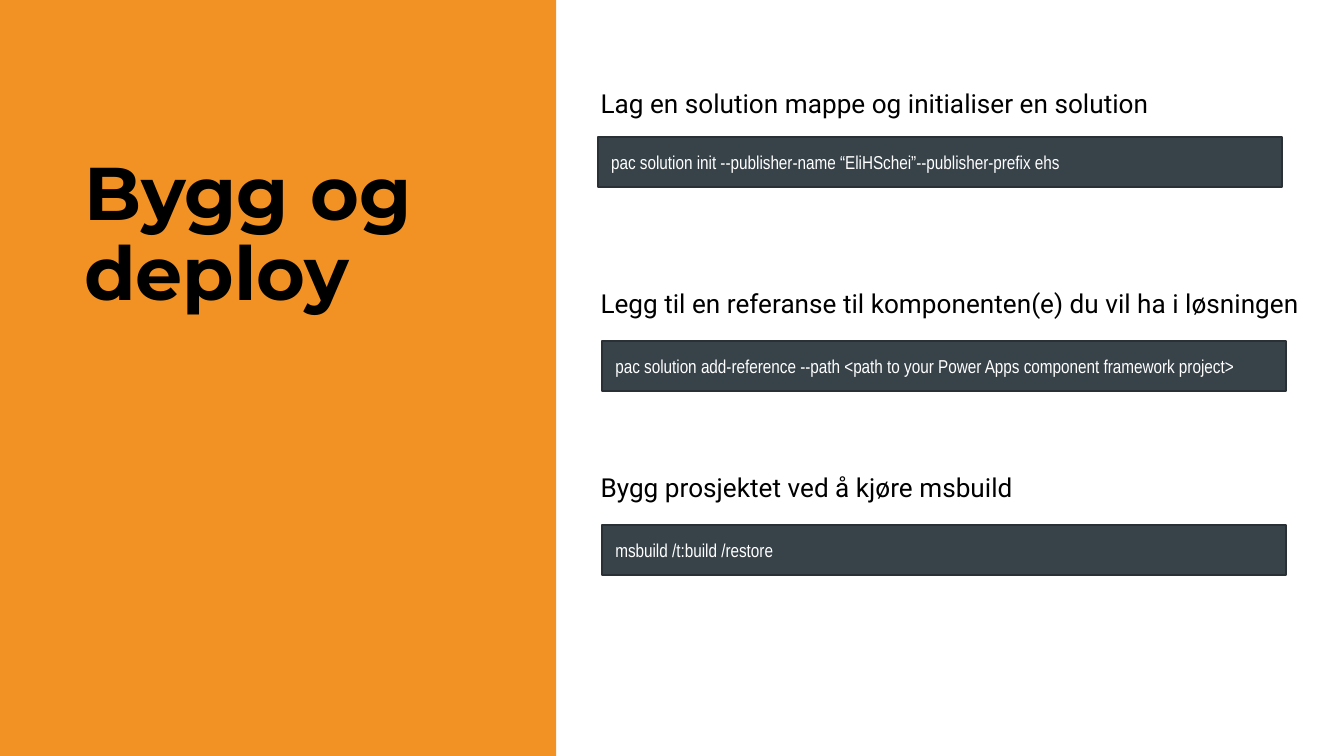
from pptx import Presentation
from pptx import util as u
from pptx.dml.color import RGBColor
from pptx.enum import shapes, text

COLOURS = {
    "panel": "F39224",
    "bar": "374249",
    "bar_line": "293136",
    "dark": "000000",
    "light": "FFFFFF",
}
SLIDE_WIDTH, SLIDE_HEIGHT = 25.4, 14.29
LABEL_LEFT = 11.1

# label, label top, label width, command, bar left, bar top
STEPS = [
    ("Lag en solution mappe og initialiser en solution", 1.52, 11.05,
     "pac solution init --publisher-name “EliHSchei”--publisher-prefix ehs",
     11.3, 2.59),
    ("Legg til en referanse til komponenten(e) du vil ha i løsningen", 5.31, 13.97,
     "pac solution add-reference --path <path to your Power Apps component framework project>",
     11.38, 6.45),
    ("Bygg prosjektet ved å kjøre msbuild", 8.79, 8.46,
     "msbuild /t:build /restore",
     11.38, 9.93),
]


def colour(name):
    return RGBColor.from_string(COLOURS[name])


def box(left, top, width, height):
    return [u.Cm(value) for value in (left, top, width, height)]


def write(shape, content, *, font, size, color, bold=False, line_spacing=None,
          anchor=text.MSO_ANCHOR.TOP, wrap=True, auto_size=text.MSO_AUTO_SIZE.NONE):
    frame = shape.text_frame
    frame.text = content
    frame.word_wrap = wrap
    frame.auto_size = auto_size
    frame.vertical_anchor = anchor
    paragraph = frame.paragraphs[0]
    paragraph.alignment = text.PP_ALIGN.LEFT
    if line_spacing:
        paragraph.line_spacing = line_spacing
    run_font = paragraph.runs[0].font
    run_font.name = font
    run_font.size = u.Pt(size)
    run_font.bold = bold
    run_font.color.rgb = colour(color)


def add_rectangle(slide, place, fill, line=None):
    shape = slide.shapes.add_shape(shapes.MSO_SHAPE.RECTANGLE, *box(*place))
    shape.shadow.inherit = False
    shape.fill.solid()
    shape.fill.fore_color.rgb = colour(fill)
    if line:
        shape.line.color.rgb = colour(line)
        shape.line.width = u.Pt(1)
    else:
        shape.line.fill.background()
    return shape


def add_title(slide, content):
    title = slide.shapes.title
    title.left, title.top, title.width, title.height = box(1.4, 2.84, 8.2, 2.74)
    frame = title.text_frame
    frame.margin_left = frame.margin_right = u.Cm(0.19)
    frame.margin_top = frame.margin_bottom = u.Cm(0.1)
    write(title, content, font="Montserrat", size=40, color="dark", bold=True,
          line_spacing=0.9)


def add_panel(slide):
    """Add the coloured side panel behind the title."""
    panel = add_rectangle(slide, (0, 0, 10.51, SLIDE_HEIGHT), "panel")
    slide.shapes.title.element.addprevious(panel.element)


def add_step(slide, label, label_top, label_width, command, bar_left, bar_top):
    """Add a command bar with its label above."""
    bar = add_rectangle(slide, (bar_left, bar_top, 12.93, 0.94), "bar", "bar_line")
    write(bar, command, font="Arial Narrow", size=10, color="light",
          anchor=text.MSO_ANCHOR.MIDDLE)
    label_box = slide.shapes.add_textbox(*box(LABEL_LEFT, label_top, label_width, 0.86))
    write(label_box, label, font="Roboto", size=14, color="dark", wrap=False,
          auto_size=text.MSO_AUTO_SIZE.SHAPE_TO_FIT_TEXT)


def main():
    presentation = Presentation()
    presentation.slide_width = u.Cm(SLIDE_WIDTH)
    presentation.slide_height = u.Cm(SLIDE_HEIGHT)
    slide = presentation.slides.add_slide(presentation.slide_layouts[5])
    add_title(slide, "Bygg og deploy")
    add_panel(slide)
    for step in STEPS:
        add_step(slide, *step)
    presentation.save("out.pptx")


if __name__ == "__main__":
    main()
